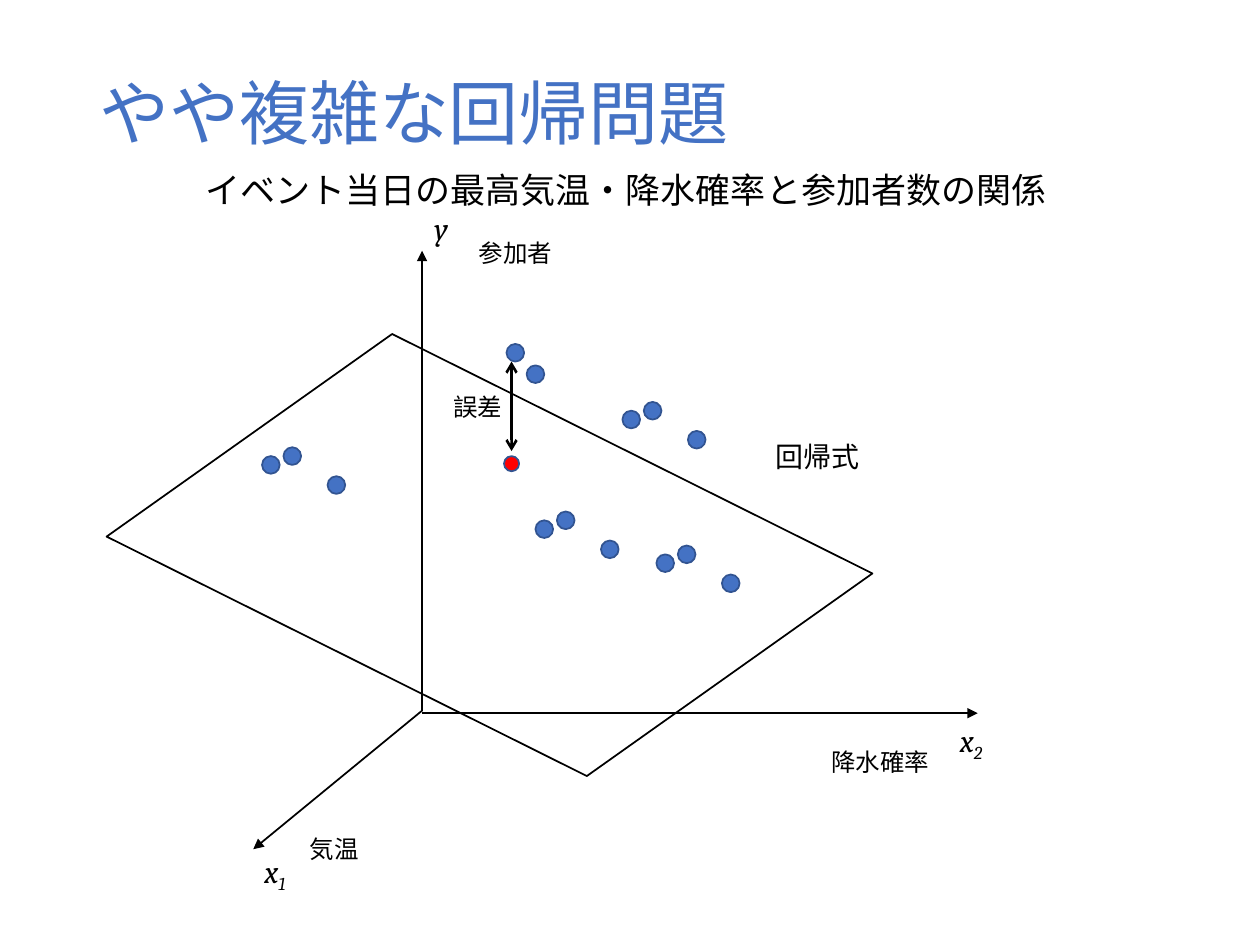
from typing import NamedTuple

from lxml import etree
from pptx import Presentation
from pptx.dml.color import RGBColor
from pptx.enum import shapes, text
from pptx.oxml import ns
from pptx.util import Inches, Pt

JAPANESE, LATIN = "Noto Sans CJK JP", "Cambria"
BLACK, BLUE, DARK_BLUE, RED = "000000", "4472C4", "325491", "FF0000"


class Label(NamedTuple):
    words: str
    left: float
    top: float
    width: float
    height: float
    size: float = 14
    font: str = JAPANESE
    subscript: str = ""


class Arrow(NamedTuple):
    start: tuple[float, float]
    end: tuple[float, float]
    width: float = 1
    head: str = "none"
    tail: str = "triangle"


ORIGIN_X = 3.35
AXES = [
    Arrow((ORIGIN_X, 5.64), (2.01, 6.74)),
    Arrow((ORIGIN_X, 5.64), (ORIGIN_X, 1.99)),
    Arrow((ORIGIN_X, 5.66), (7.76, 5.66)),
]
ERROR_ARROW = Arrow((4.06, 2.87), (4.06, 3.58), 1.5, "arrow", "arrow")

DOT_SIZE = 0.14
PAIR = [(4.02, 2.73), (4.18, 2.9)]
CLUSTER_STARTS = [(4.25, 4.13), (5.21, 4.4), (4.94, 3.26), (2.08, 3.62)]
CLUSTER_OFFSETS = [(0, 0), (0.17, -0.07), (0.52, 0.16)]

TITLE = Label("やや複雑な回帰問題", 0.69, 0.4, 8.62, 1.06, 40)
LABELS = [
    Label("誤差", 3.5, 3.06, 0.59, 0.34),
    Label("x", 2, 6.71, 0.42, 0.4, 18, LATIN, "1"),
    Label("x", 7.52, 5.67, 0.42, 0.4, 18, LATIN, "2"),
    Label("y", 3.35, 1.61, 0.33, 0.4, 18, LATIN),
    Label("気温", 2.36, 6.57, 0.59, 0.34),
    Label("降水確率", 6.5, 5.88, 0.99, 0.34),
    Label("参加者", 3.7, 1.84, 0.79, 0.34),
    Label("イベント当日の最高気温・降水確率と参加者数の関係", 1.53, 1.29, 6.93, 0.44, 20),
    Label("回帰式", 6.06, 3.44, 0.88, 0.37, 16),
]


def color(value: str) -> RGBColor:
    return RGBColor.from_string(value)


def add_label(slide, label: Label, font_color: str = BLACK):
    box = slide.shapes.add_textbox(
        *(Inches(n) for n in (label.left, label.top, label.width, label.height)))
    frame = box.text_frame
    frame.word_wrap = False
    frame.auto_size = text.MSO_AUTO_SIZE.SHAPE_TO_FIT_TEXT
    paragraph = frame.paragraphs[0]
    paragraph.add_run().text = label.words
    if label.subscript:
        run = paragraph.add_run()
        run.text = label.subscript
        run._r.get_or_add_rPr().set("baseline", "-25000")
    font = paragraph.font
    font.size, font.name = Pt(label.size), label.font
    font.color.rgb = color(font_color)
    if label.font == LATIN:
        font.italic = True
    else:
        defaults = paragraph._p.find(".//" + ns.qn("a:defRPr"))
        etree.SubElement(defaults, ns.qn("a:ea"), typeface=label.font)
    return box


def add_title(slide, label: Label) -> None:
    frame = add_label(slide, label, BLUE).text_frame
    frame.word_wrap = True
    frame.auto_size = text.MSO_AUTO_SIZE.NONE
    frame.vertical_anchor = text.MSO_ANCHOR.MIDDLE
    frame.paragraphs[0].line_spacing = 0.9


def add_arrow(slide, arrow: Arrow) -> None:
    connector = slide.shapes.add_connector(
        shapes.MSO_CONNECTOR.STRAIGHT,
        *(Inches(n) for n in (*arrow.start, *arrow.end)))
    connector.line.color.rgb = color(BLACK)
    connector.line.width = Pt(arrow.width)
    line = connector.line._get_or_add_ln()
    etree.SubElement(line, ns.qn("a:headEnd"), type=arrow.head)
    etree.SubElement(line, ns.qn("a:tailEnd"), type=arrow.tail)
    etree.SubElement(connector._element.spPr, ns.qn("a:effectLst"))


def add_dot(slide, left: float, top: float, size: float = DOT_SIZE, fill: str = BLUE) -> None:
    dot = slide.shapes.add_shape(
        shapes.MSO_SHAPE.OVAL, Inches(left), Inches(top), Inches(size), Inches(size))
    dot.shadow.inherit = False
    dot.fill.solid()
    dot.fill.fore_color.rgb = color(fill)
    dot.line.color.rgb = color(DARK_BLUE)
    dot.line.width = Pt(1)


def add_regression_plane(slide) -> None:
    plane = slide.shapes.add_shape(
        shapes.MSO_SHAPE.PARALLELOGRAM,
        Inches(1.1), Inches(3.18), Inches(5.57), Inches(2.45))
    plane.adjustments[0] = 0.535
    plane.rotation = 26.5
    plane.shadow.inherit = False
    plane.fill.background()
    plane.line.color.rgb = color(BLACK)
    plane.line.width = Pt(1)


def main() -> None:
    presentation = Presentation()
    presentation.slide_width, presentation.slide_height = Inches(10), Inches(7.5)
    slide = presentation.slides.add_slide(presentation.slide_layouts[6])

    add_title(slide, TITLE)
    add_dot(slide, 4, 3.62, 0.12, RED)
    for arrow in [ERROR_ARROW, *AXES]:
        add_arrow(slide, arrow)
    add_regression_plane(slide)
    for left, top in PAIR:
        add_dot(slide, left, top)
    for left, top in CLUSTER_STARTS:
        for right, down in CLUSTER_OFFSETS:
            add_dot(slide, left + right, top + down)
    for label in LABELS:
        add_label(slide, label)

    presentation.save("out.pptx")


if __name__ == "__main__":
    main()
